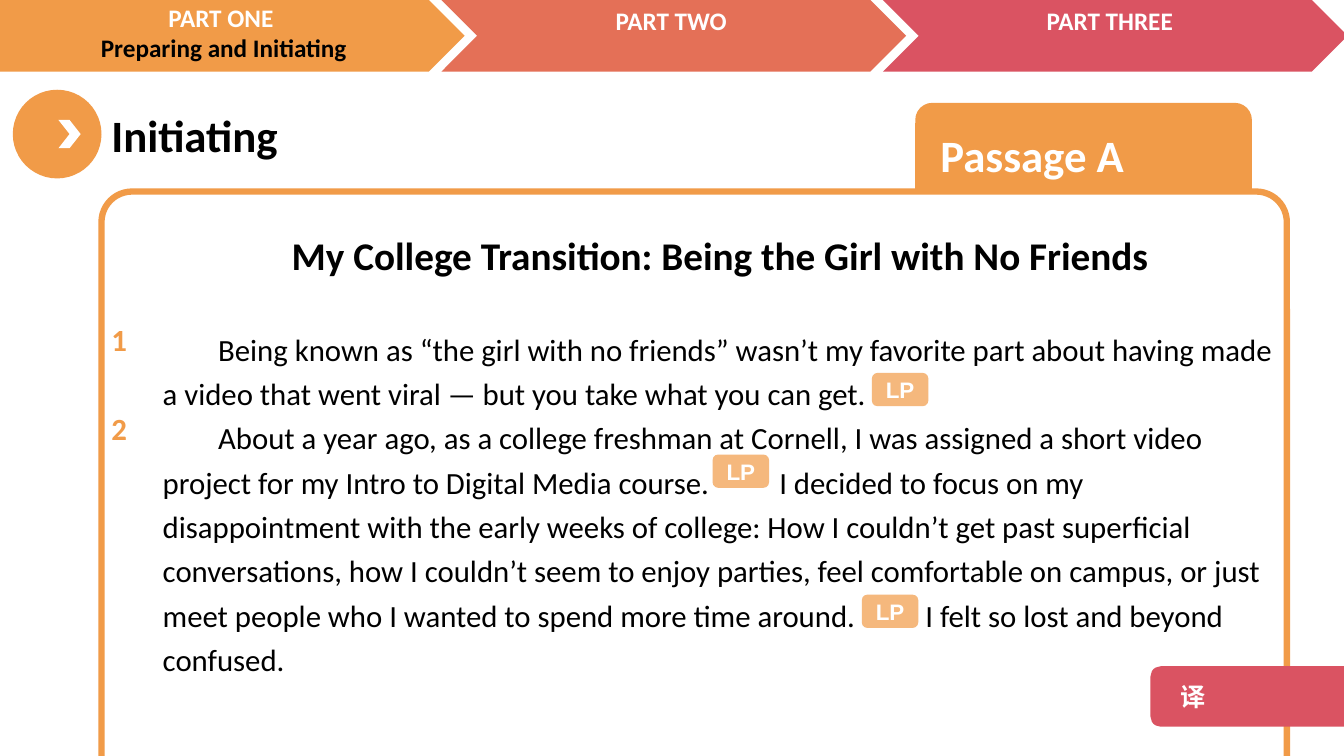
import dataclasses
import typing

import lxml.etree
import pptx
import pptx.dml.color
import pptx.enum.shapes
import pptx.enum.text
import pptx.oxml.ns
import pptx.util

RGBColor = pptx.dml.color.RGBColor
Shapes = pptx.enum.shapes.MSO_SHAPE
Align = pptx.enum.text.PP_ALIGN
Anchor = pptx.enum.text.MSO_ANCHOR
qn = pptx.oxml.ns.qn

ORANGE = RGBColor(0xF1, 0x9B, 0x48)
CORAL = RGBColor(0xE4, 0x70, 0x57)
ROSE = RGBColor(0xDA, 0x53, 0x62)
WHITE = RGBColor(0xFF, 0xFF, 0xFF)
BLACK = RGBColor(0, 0, 0)

SLIDE_WIDTH = pptx.util.Inches(13.33)
SLIDE_HEIGHT = pptx.util.Inches(7.5)
COLUMN = SLIDE_WIDTH / 40
ROW = SLIDE_HEIGHT / 30

PART_PITCH = 13.14
BANNER_HEIGHT = 2.84
BODY_LINE = 32
BUTTON_GAP = 45


class Box(typing.NamedTuple):
    """A place on the slide, in grid columns and rows."""
    left: float
    top: float
    width: float
    height: float

    def lengths(self) -> list[int]:
        units = (COLUMN, ROW, COLUMN, ROW)
        return [round(value * unit) for value, unit in zip(self, units)]


@dataclasses.dataclass(frozen=True)
class Line:
    """A paragraph in one style; each | in its text leaves room for a button."""
    text: str
    size: float
    color: RGBColor = WHITE
    bold: bool = True
    font: str = "Calibri"
    align: Align = Align.LEFT
    spacing: float = 1.0
    before: float = 0
    indent: float = 0


@dataclasses.dataclass(frozen=True)
class Part:
    name: str
    color: RGBColor
    label_left: float
    label_top: float = 0
    lead_in: float = 0
    subtitle: str = ""


PARTS = (
    Part("PART ONE ", ORANGE, -0.18, -0.12, 1.83, "Preparing and Initiating"),
    Part("PART TWO", CORAL, 13.14),
    Part("PART THREE", ROSE, 26.19),
)

ARTICLE = (
    Line("My College Transition: Being the Girl with No Friends", 28, BLACK,
         align=Align.CENTER, spacing=1.2),
    Line("Being known as “the girl with no friends” wasn’t my favorite part about "
         "having made a video that went viral — but you take what you can get.",
         22, BLACK, False, spacing=1.2, before=BODY_LINE, indent=0.55),
    Line("About a year ago, as a college freshman at Cornell, I was assigned a short "
         "video project for my Intro to Digital Media course.|I decided to focus on my "
         "disappointment with the early weeks of college: How I couldn’t get past "
         "superficial conversations, how I couldn’t seem to enjoy parties, feel "
         "comfortable on campus, or just meet people who I wanted to spend more time "
         "around.|I felt so lost and beyond confused.",
         22, BLACK, False, spacing=1.2, indent=0.55),
)

NUMBERS = (
    Line("1", 22, ORANGE, spacing=1.2),
    Line("2", 22, ORANGE, spacing=1.2, before=BODY_LINE),
)

LANGUAGE_POINTS = ((25.95, 14.8), (21.21, 18.04), (25.65, 23.6))


def add_run(paragraph, text: str, line: Line, tracking: float = 0) -> None:
    """Add text in the line's style, with extra points after each letter."""
    run = paragraph.add_run()
    run.text = text
    run.font.size = pptx.util.Pt(line.size)
    run.font.bold = line.bold
    run.font.color.rgb = line.color
    run.font.name = line.font
    properties = run._r.get_or_add_rPr()
    lxml.etree.SubElement(properties, qn("a:ea"), typeface=line.font)
    if tracking:
        properties.set("spc", str(tracking * 100))


def write(shape, lines: typing.Sequence[Line]) -> None:
    frame = shape.text_frame
    frame.word_wrap = True
    for index, line in enumerate(lines):
        paragraph = frame.add_paragraph() if index else frame.paragraphs[0]
        if line.indent:
            properties = paragraph._p.get_or_add_pPr()
            properties.set("marL", "0")
            properties.set("indent", str(pptx.util.Inches(line.indent)))
        paragraph.alignment = line.align
        paragraph.line_spacing = line.spacing
        if line.before:
            paragraph.space_before = pptx.util.Pt(line.before)
        for position, passage in enumerate(line.text.split("|")):
            if position:
                add_run(paragraph, " ", line, BUTTON_GAP)
            add_run(paragraph, passage, line)


def add_text(slide, box: Box, *lines: Line) -> None:
    write(slide.shapes.add_textbox(*box.lengths()), lines)


def add_block(slide, kind: Shapes, box: Box, color: RGBColor, *lines: Line,
              opacity: int = 100):
    """Add a filled preset shape without outline."""
    shape = slide.shapes.add_shape(kind, *box.lengths())
    shape.shadow.inherit = False
    shape.fill.solid()
    shape.fill.fore_color.rgb = color
    shape.line.fill.background()
    if opacity < 100:
        fill_color = shape._element.spPr.find(qn("a:solidFill"))[0]
        lxml.etree.SubElement(fill_color, qn("a:alpha"), val=str(opacity * 1000))
    if lines:
        shape.text_frame.vertical_anchor = Anchor.MIDDLE
        write(shape, lines)
    return shape


def add_heading(slide) -> None:
    add_block(slide, Shapes.OVAL, Box(0.38, 3.56, 2.64, 3.52), ORANGE)
    add_block(slide, Shapes.CHEVRON, Box(1.74, 4.76, 0.66, 1.12), WHITE)
    add_text(slide, Box(3.02, 4.08, 14.55, 2.56), Line("Initiating", 32, BLACK))


def add_banner(slide) -> None:
    for index, part in enumerate(PARTS):
        left = index * PART_PITCH - part.lead_in
        add_block(slide, Shapes.CHEVRON,
                  Box(left, 0, 13.83 + part.lead_in, BANNER_HEIGHT), part.color)
        lines = [Line(part.name, 18, align=Align.CENTER)]
        if part.subtitle:
            lines.append(Line(part.subtitle, 18, BLACK, align=Align.CENTER))
        add_text(slide, Box(part.label_left, part.label_top, 13.68, BANNER_HEIGHT), *lines)


def add_passage(slide) -> None:
    add_block(slide, Shapes.ROUNDED_RECTANGLE, Box(27.24, 4.08, 10.02, 4.08), ORANGE,
              Line(" Passage A", 32))
    panel = add_block(slide, Shapes.ROUNDED_RECTANGLE, Box(3.02, 7.6, 35.28, 25.8), WHITE)
    panel.adjustments[0] = 0.047
    panel.line.color.rgb = ORANGE
    panel.line.width = pptx.util.Pt(4.5)
    add_text(slide, Box(4.55, 8.6, 33.75, 18.68), *ARTICLE)
    add_text(slide, Box(3.02, 12.24, 1.53, 6), *NUMBERS)


def add_buttons(slide) -> None:
    for left, top in LANGUAGE_POINTS:
        add_block(slide, Shapes.ROUNDED_RECTANGLE, Box(left, top, 1.68, 1.32), ORANGE,
                  Line("LP", 16, font="Arial", align=Align.CENTER), opacity=71)
    translation = add_block(slide, Shapes.ROUNDED_RECTANGLE, Box(34.24, 26.44, 6.39, 2.4),
                            ROSE, Line("译", 18, font="Noto Sans CJK SC"))
    translation.text_frame.margin_left = pptx.util.Inches(0.27)


def main() -> None:
    presentation = pptx.Presentation()
    presentation.slide_width = SLIDE_WIDTH
    presentation.slide_height = SLIDE_HEIGHT
    slide = presentation.slides.add_slide(presentation.slide_layouts[6])
    add_heading(slide)
    add_passage(slide)
    add_banner(slide)
    add_buttons(slide)
    presentation.save("out.pptx")


if __name__ == "__main__":
    main()
